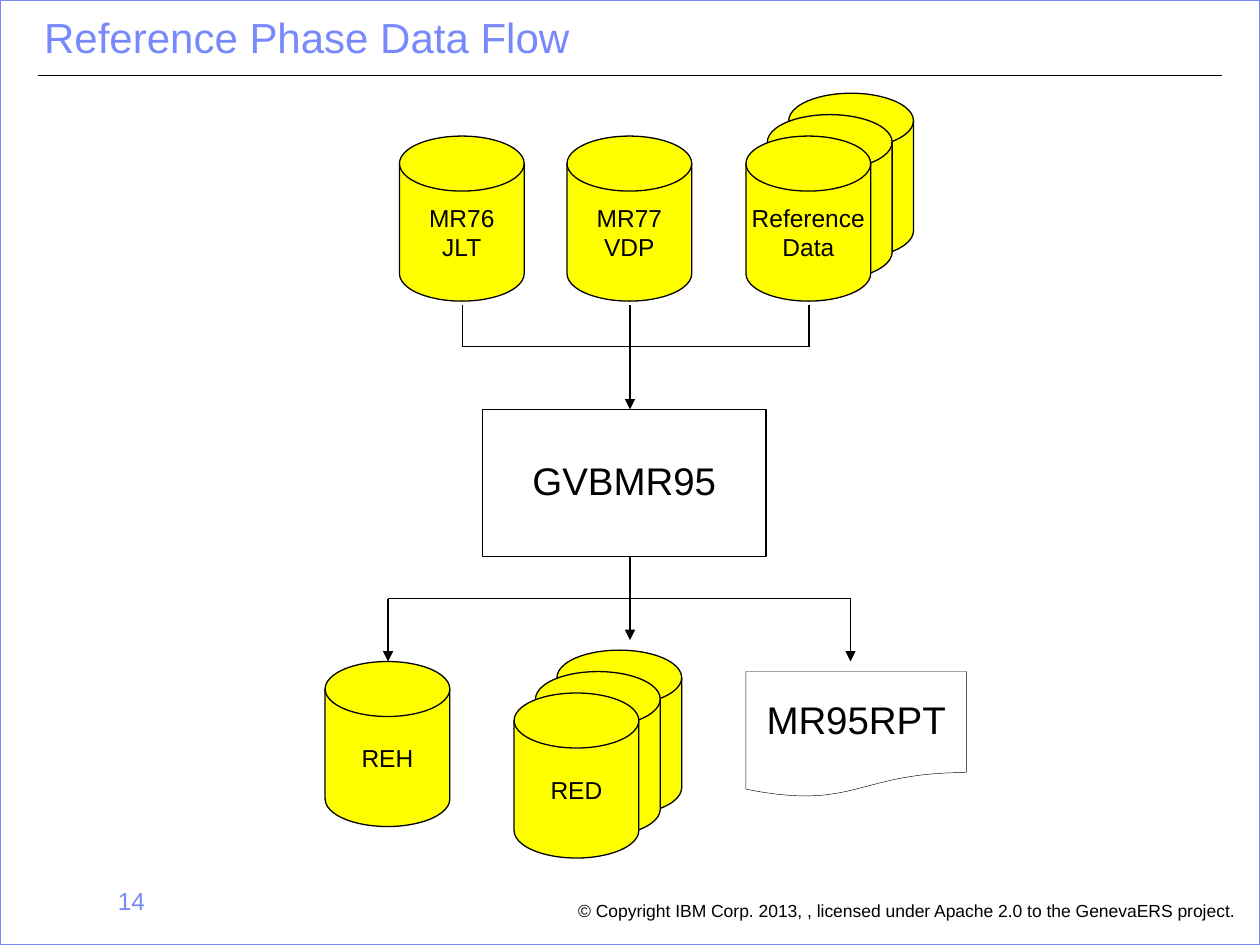
from dataclasses import dataclass

from lxml import etree
from pptx import Presentation
from pptx.dml.color import RGBColor
from pptx.enum.shapes import MSO_CONNECTOR, MSO_SHAPE
from pptx.enum.text import MSO_ANCHOR, PP_ALIGN
from pptx.oxml.ns import qn
from pptx.util import Inches, Pt

STRAIGHT = MSO_CONNECTOR.STRAIGHT
RECTANGLE = MSO_SHAPE.RECTANGLE
DOCUMENT = MSO_SHAPE.FLOWCHART_DOCUMENT
DISK = MSO_SHAPE.FLOWCHART_MAGNETIC_DISK
MIDDLE, BOTTOM, TOP = MSO_ANCHOR.MIDDLE, MSO_ANCHOR.BOTTOM, MSO_ANCHOR.TOP
LEFT, CENTER, RIGHT = PP_ALIGN.LEFT, PP_ALIGN.CENTER, PP_ALIGN.RIGHT


@dataclass(frozen=True)
class Theme:
    font: str = "Arial"
    accent: RGBColor = RGBColor(0x78, 0x89, 0xFB)
    ink: RGBColor = RGBColor(0, 0, 0)
    disk: RGBColor = RGBColor(0xFF, 0xFF, 0)
    title_size: float = 24
    box_size: float = 22
    label_size: float = 14
    copyright_size: float = 10
    line: float = 0.75
    thin: float = 0.25
    frame: float = 1
    tight: float = 0.9


class FlowSlide:
    disk_width, disk_height, stack_step = 0.99, 1.31, 0.17

    def __init__(self, prs, theme):
        self.theme = theme
        self.s = prs.slides.add_slide(prs.slide_layouts[5])

    def set_text(self, sp, text, size, color, align, anchor, spacing=1.0, wrap=False):
        tf = sp.text_frame
        tf.text = text
        tf.word_wrap = wrap
        tf.vertical_anchor = anchor
        for p in tf.paragraphs:
            p.alignment = align
            p.line_spacing = spacing
            for r in p.runs:
                r.font.name = self.theme.font
                r.font.size = Pt(size)
                r.font.color.rgb = color

    def title(self, text, x, y, w, h):
        sp = self.s.shapes.title
        sp.left, sp.top, sp.width, sp.height = map(Inches, (x, y, w, h))
        self.set_text(sp, text, self.theme.title_size, self.theme.accent,
                      LEFT, BOTTOM, self.theme.tight, True)

    def text(self, text, x, y, w, h, size, color, align, spacing=1.0, wrap=False):
        sp = self.s.shapes.add_textbox(*map(Inches, (x, y, w, h)))
        self.set_text(sp, text, size, color, align, TOP, spacing, wrap)

    def shape(self, kind, x, y, w, h, color, weight, fill=None):
        sp = self.s.shapes.add_shape(kind, *map(Inches, (x, y, w, h)))
        sp.shadow.inherit = False
        if fill is None:
            sp.fill.background()
        else:
            sp.fill.solid()
            sp.fill.fore_color.rgb = fill
        sp.line.color.rgb = color
        sp.line.width = Pt(weight)
        return sp

    def box(self, kind, text, x, y, w, h, weight):
        sp = self.shape(kind, x, y, w, h, self.theme.ink, weight)
        self.set_text(sp, text, self.theme.box_size, self.theme.ink,
                      CENTER, MIDDLE, self.theme.tight)

    def disks(self, text, x, y, count=1):
        for i in reversed(range(count)):
            offset = i * self.stack_step
            sp = self.shape(DISK, x + offset, y - offset, self.disk_width,
                            self.disk_height, self.theme.ink, self.theme.line,
                            self.theme.disk)
        self.set_text(sp, text, self.theme.label_size, self.theme.ink, CENTER, MIDDLE)

    def line(self, x1, y1, x2, y2, arrow=False):
        c = self.s.shapes.add_connector(STRAIGHT, *map(Inches, (x1, y1, x2, y2)))
        c.line.color.rgb = self.theme.ink
        c.line.width = Pt(self.theme.line)
        properties = c._element.spPr
        if arrow:
            etree.SubElement(properties.find(qn("a:ln")), qn("a:tailEnd"), type="triangle")
        etree.SubElement(properties, qn("a:effectLst"))


def main():
    prs = Presentation()
    prs.slide_width, prs.slide_height = Inches(10), Inches(7.5)
    theme = Theme()
    slide = FlowSlide(prs, theme)

    slide.line(0.3, 0.6, 9.7, 0.6)
    slide.shape(RECTANGLE, 0, 0, 10, 7.5, theme.accent, theme.frame)
    slide.text("© Copyright IBM Corp. 2013, , licensed under Apache 2.0 to the GenevaERS project.",
               4.49, 7.11, 5.45, 0.25, theme.copyright_size, theme.ink, LEFT, theme.tight)
    slide.text("14", 0.25, 6.98, 1, 0.52, theme.label_size, theme.accent, RIGHT, wrap=True)
    slide.title("Reference Phase Data Flow", 0.25, 0, 7.83, 0.55)

    slide.box(RECTANGLE, "GVBMR95", 3.83, 3.25, 2.25, 1.17, theme.line)
    slide.box(DOCUMENT, "MR95RPT", 5.92, 5.33, 1.75, 1, theme.thin)

    for text, x, y, count in (
        ("MR76\nJLT", 3.17, 1.08, 1),
        ("MR77\nVDP", 4.5, 1.08, 1),
        ("Reference\nData", 5.92, 1.08, 3),
        ("REH", 2.58, 5.25, 1),
        ("RED", 4.08, 5.5, 3),
    ):
        slide.disks(text, x, y, count)

    trunk, input_bus, output_bus = 5, 2.75, 4.75
    inputs = (3.67, trunk, 6.42)
    for x in inputs:
        slide.line(x, 2.42, x, input_bus)
    slide.line(inputs[0], input_bus, inputs[-1], input_bus)
    slide.line(trunk, input_bus, trunk, 3.25, arrow=True)

    outputs = (3.08, 6.75)
    slide.line(trunk, 4.42, trunk, 5.08, arrow=True)
    slide.line(outputs[0], output_bus, outputs[-1], output_bus)
    for x in outputs:
        slide.line(x, output_bus, x, 5.25, arrow=True)

    prs.save("out.pptx")


if __name__ == "__main__":
    main()
